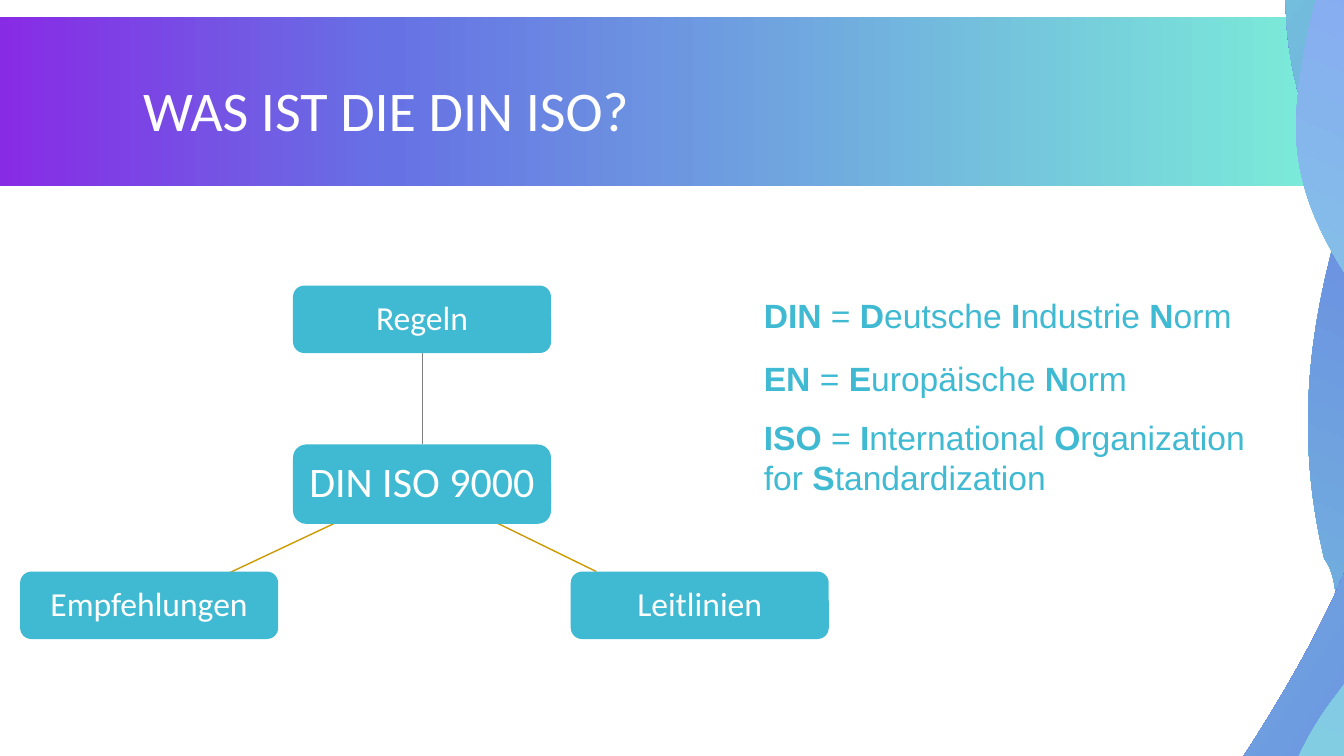
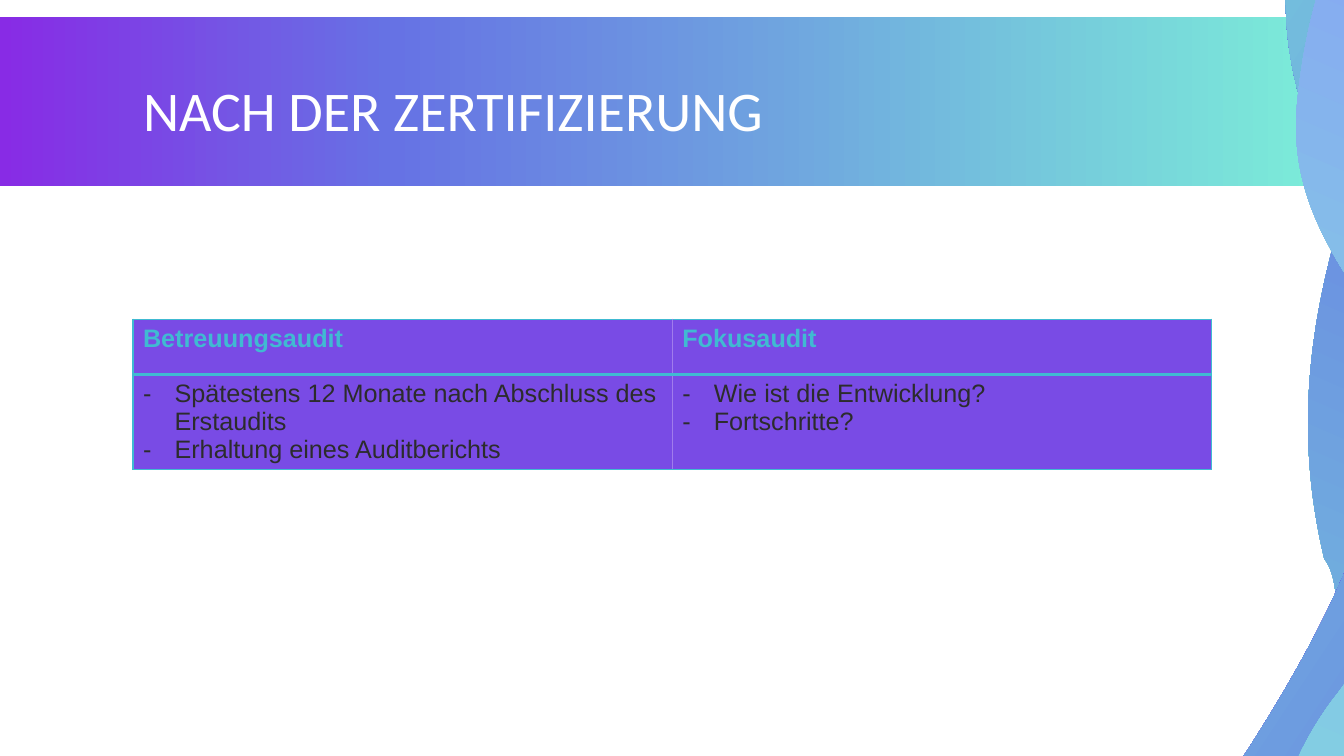
from dataclasses import dataclass
from math import cos, radians, sin
from typing import NamedTuple

from lxml.etree import SubElement
from pptx import Presentation
from pptx.dml.color import RGBColor
from pptx.enum.shapes import MSO_CONNECTOR, MSO_SHAPE
from pptx.enum.text import MSO_ANCHOR, MSO_AUTO_SIZE, PP_ALIGN
from pptx.oxml.ns import qn
from pptx.util import Pt

Point = tuple[float, float]
Stops = tuple[tuple[int, str], ...]


# Theme
@dataclass(frozen=True)
class Theme:
    width: float = 960
    height: float = 540
    heading_font: str = "Calibri"
    body_font: str = "Arial"
    white: str = "FFFFFF"
    teal: str = "40BAD2"
    gold: str = "CC9A00"
    gray: str = "808080"
    violet: str = "794BE5"
    light_violet: str = "A07CEC"
    dark: str = "2C2C2C"
    title_size: float = 40
    hub_size: float = 30
    text_size: float = 24
    table_size: float = 18
    ribbon_rotation: float = 23.4
    band_stops: Stops = ((0, "882BE5"), (29, "6672E4"), (100, "7CEFD8"))


THEME = Theme()


class Box(NamedTuple):
    left: float
    top: float
    width: float
    height: float

    def lengths(self) -> tuple:
        return tuple(Pt(value) for value in self)


class Ribbon(NamedTuple):
    """A start point, then three points for each cubic curve, as seen on the slide."""
    frame: Box
    points: tuple[Point, ...]
    stops: Stops
    angle: float


class Node(NamedTuple):
    text: str
    box: Box
    size: float = THEME.text_size


class Definition(NamedTuple):
    """Pieces alternate between bold and regular."""
    box: Box
    pieces: tuple[str, ...]


class AuditColumn(NamedTuple):
    heading: str
    points: tuple[str, ...]


BAND = Box(0, 12, THEME.width, 121)
TITLE = Box(95, 22.5, 770, 118.5)
RIBBONS = (
    Ribbon(Box(1000.8, -887, 360, 1774), (
        (886.3, 767.5), (886.3, 767.5), (919.4, 853.9), (1141.2, 442.8),
        (1363, 31.7), (1332.7, -176.4), (1321.2, -248.4),
        (1309, -320.4), (1309, -344.2), (1349.3, -488.9),
        (1388.9, -633.6), (1476, -838.8), (1378.1, -759.6),
        (1279.4, -679.7), (1202.4, -365), (1165.7, -275),
        (1129, -185.8), (1024.6, -46.8), (990.7, 54.7),
        (956.9, 157), (913, 262.8), (946.1, 399.6),
        (946.1, 399.6), (982.8, 430.6), (905, 642.2),
        (905, 642.2), (862.6, 762.5), (886.3, 767.5)),
        ((0, "7CEFD8"), (51, "6672E4"), (100, "882BE5")), 90),
    Ribbon(Box(766.1, -243.4, 480.2, 1096.6), (
        (1046.2, 661), (965.5, 776.9), (905.8, 824.4), (865.4, 841),
        (851.8, 833.8), (839.5, 820.1), (830.9, 799.9),
        (783.4, 691.2), (885.6, 544.3), (885.6, 544.3),
        (1124.6, 179.3), (879.8, 178.6), (923.8, -57.6),
        (935.3, -120.2), (951.1, -171.4), (968.4, -211.7),
        (974.9, -215.3), (982.1, -218.2), (989.3, -220.3),
        (1101.6, -252), (1045.4, -116.6), (1036.1, -14.4),
        (1027.4, 88.6), (1034.6, 107.3), (1075, 168.5),
        (1115.3, 229.7), (1224.7, 405.4), (1046.2, 661)),
        ((0, "882BE5"), (19, "6672E4"), (100, "7CEFD8")), 170),
    Ribbon(Box(784.1, -89.3, 521.3, 836.6), (
        (952.6, 499), (1132.6, 262.8), (910.8, 237.6), (926.6, 73.4),
        (942.5, -90.7), (1024.6, -126.7), (1056.2, -117.4),
        (1087.9, -107.3), (1103.8, -85.7), (1088.6, -24.5),
        (1073.5, 37.4), (1172.2, 68.4), (1239.8, 90.7),
        (1307.5, 112.3), (1375.9, 218.9), (1277.3, 314.6),
        (1177.9, 410.4), (1183, 405.4), (1170, 533.5),
        (1157, 661), (1093, 699.8), (1093, 699.8),
        (1093, 699.8), (982.8, 758.2), (928.8, 676.1),
        (875.5, 594), (952.6, 499), (952.6, 499)),
        ((0, "80DEDE"), (54, "85C1E7"), (100, "878CFF")), 90),
)

HUB = Node("DIN ISO 9000", Box(209.3, 317.5, 184.3, 56.7), THEME.hub_size)
RULES = Node("Regeln", Box(209.3, 204, 184.3, 48.2))
BRANCHES = (Node("Empfehlungen", Box(14.4, 408.3, 184.3, 48.2)),
            Node("Leitlinien", Box(407.7, 408.3, 184.3, 48.2)))
BRANCH_LINES: tuple[tuple[Point, Point], ...] = (((251.3, 368), (162.7, 409.7)),
                                                 ((340.5, 366.5), (426, 408.3)))
DEFINITIONS = (
    Definition(Box(538.5, 207.2, 364.5, 36),
               ("DIN", " = ", "D", "eutsche ", "I", "ndustrie ", "N", "orm")),
    Definition(Box(538.5, 252, 364.5, 36),
               ("EN", " = ", "E", "uropäische ", "N", "orm")),
    Definition(Box(538.5, 294, 364.5, 65.5),
               ("ISO", " = ", "I", "nternational ", "O", "rganization for ",
                "S", "tandardization")),
)

TABLE_BOX = Box(95, 228, 770.5, 107)
HEADER_HEIGHT = 39.5
COLUMNS = (
    AuditColumn("Betreuungsaudit", ("Spätestens 12 Monate nach Abschluss des Erstaudits",
                                    "Erhaltung eines Auditberichts")),
    AuditColumn("Fokusaudit", ("Wie ist die Entwicklung?", "Fortschritte?")),
)


# Formatting helpers
def rgb(color: str) -> RGBColor:
    return RGBColor.from_string(color)


def add_run(para, text: str, size: float, color: str, font: str, bold: bool = False) -> None:
    span = para.add_run()
    span.text = text
    span.font.name = font
    span.font.size = Pt(size)
    span.font.bold = bold
    span.font.color.rgb = rgb(color)


def add_bullet(para, bullet: str, indent: float) -> None:
    properties = para._p.get_or_add_pPr()
    properties.set("marL", str(Pt(indent)))
    properties.set("indent", str(-Pt(indent)))
    SubElement(properties, qn("a:buFont")).set("typeface", THEME.body_font)
    SubElement(properties, qn("a:buChar")).set("char", bullet)


def fill_gradient(shape, stops: Stops, angle: float) -> None:
    shape.shadow.inherit = False
    shape.line.fill.background()
    shape.fill.gradient()
    shape.fill.gradient_angle = angle
    stop_list = shape.element.spPr.find(qn("a:gradFill")).find(qn("a:gsLst"))
    for old_stop in list(stop_list):
        stop_list.remove(old_stop)
    for position, color in stops:
        stop = SubElement(stop_list, qn("a:gs"))
        stop.set("pos", str(position * 1000))
        SubElement(stop, qn("a:srgbClr")).set("val", color)


def place(shape, box: Box) -> None:
    shape.left, shape.top, shape.width, shape.height = box.lengths()


# Shared master: band, ribbons and title position
def unrotate(point: Point, frame: Box) -> Point:
    """Turn a slide point back into the frame's own coordinates."""
    turn = radians(THEME.ribbon_rotation)
    x = point[0] - frame.left - frame.width / 2
    y = point[1] - frame.top - frame.height / 2
    return (x * cos(turn) + y * sin(turn) + frame.width / 2,
            y * cos(turn) - x * sin(turn) + frame.height / 2)


def add_ribbon(page, ribbon: Ribbon):
    start, *others = [tuple(Pt(value) for value in unrotate(point, ribbon.frame))
                      for point in ribbon.points]
    builder = page.shapes.build_freeform(*start)
    builder.add_line_segments(others[2::3], close=True)
    shape = builder.convert_to_shape()
    place(shape, ribbon.frame)
    shape.rotation = THEME.ribbon_rotation

    # Turn the straight segments into cubic curves
    contour = next(shape.element.iter(qn("a:path")))
    contour.set("w", str(Pt(ribbon.frame.width)))
    contour.set("h", str(Pt(ribbon.frame.height)))
    for segment in list(contour):
        contour.remove(segment)
    curves = [others[index:index + 3] for index in range(0, len(others), 3)]
    for tag, points in [("a:moveTo", [start])] + [("a:cubicBezTo", curve) for curve in curves]:
        segment = SubElement(contour, qn(tag))
        for x, y in points:
            corner = SubElement(segment, qn("a:pt"))
            corner.set("x", str(x))
            corner.set("y", str(y))
    SubElement(contour, qn("a:close"))
    fill_gradient(shape, ribbon.stops, ribbon.angle)
    return shape


def decorate_master(deck, page) -> None:
    """Draw on a page, then move the shapes behind the master's placeholders."""
    band = page.shapes.add_shape(MSO_SHAPE.RECTANGLE, *BAND.lengths())
    fill_gradient(band, THEME.band_stops, 0)
    decorations = [band] + [add_ribbon(page, ribbon) for ribbon in RIBBONS]
    master = deck.slide_master
    for index, shape in enumerate(decorations, start=2):
        master.shapes.element.insert(index, shape.element)
    place(master.placeholders[0], TITLE)


def set_title(page, text: str) -> None:
    title = page.shapes.title
    place(title, TITLE)
    title.text_frame.auto_size = MSO_AUTO_SIZE.NONE
    title.text_frame.vertical_anchor = MSO_ANCHOR.MIDDLE
    para = title.text_frame.paragraphs[0]
    para.alignment = PP_ALIGN.LEFT
    para.line_spacing = 0.85
    add_run(para, text, THEME.title_size, THEME.white, THEME.heading_font)


# Diagram parts
def add_line(page, begin: Point, end: Point, color: str, width: float):
    line = page.shapes.add_connector(MSO_CONNECTOR.STRAIGHT,
                                     *(Pt(value) for value in (*begin, *end)))
    line.line.color.rgb = rgb(color)
    line.line.width = Pt(width)
    SubElement(line.element.spPr, qn("a:effectLst"))
    return line


def add_node(page, node: Node):
    shape = page.shapes.add_shape(MSO_SHAPE.ROUNDED_RECTANGLE, *node.box.lengths())
    shape.shadow.inherit = False
    shape.fill.solid()
    shape.fill.fore_color.rgb = rgb(THEME.teal)
    shape.line.fill.background()
    frame = shape.text_frame
    frame.word_wrap = True
    frame.vertical_anchor = MSO_ANCHOR.MIDDLE
    frame.margin_left = frame.margin_right = Pt(7)
    para = frame.paragraphs[0]
    para.alignment = PP_ALIGN.CENTER
    para.line_spacing = 0.9
    add_run(para, node.text, node.size, THEME.white, THEME.heading_font)
    return shape


def add_definition(page, definition: Definition) -> None:
    frame = page.shapes.add_textbox(*definition.box.lengths()).text_frame
    frame.word_wrap = True
    for number, piece in enumerate(definition.pieces):
        add_run(frame.paragraphs[0], piece, THEME.text_size, THEME.teal,
                THEME.body_font, number % 2 == 0)


# Table parts
def format_cell(cell, borders: dict[str, tuple[str, float]]) -> None:
    cell.fill.solid()
    cell.fill.fore_color.rgb = rgb(THEME.violet)
    properties = cell._tc.get_or_add_tcPr()
    for index, side in enumerate("LRTB"):
        color, width = borders[side]
        edge = SubElement(properties, qn(f"a:ln{side}"))
        edge.set("w", str(Pt(width)))
        solid = SubElement(edge, qn("a:solidFill"))
        SubElement(solid, qn("a:srgbClr")).set("val", color)
        properties.insert(index, edge)


def add_audit_table(page) -> None:
    table = page.shapes.add_table(2, len(COLUMNS), *TABLE_BOX.lengths()).table
    table.first_row = table.horz_banding = False
    table.rows[0].height = Pt(HEADER_HEIGHT)
    table.rows[1].height = Pt(TABLE_BOX.height - HEADER_HEIGHT)
    outer, inner, rule = (THEME.teal, 1), (THEME.light_violet, 0.5), (THEME.teal, 3)
    for index, column in enumerate(COLUMNS):
        table.columns[index].width = Pt(TABLE_BOX.width / len(COLUMNS))
        sides = {"L": inner if index else outer,
                 "R": outer if index == len(COLUMNS) - 1 else inner}
        header, content = table.cell(0, index), table.cell(1, index)
        format_cell(header, {**sides, "T": outer, "B": rule})
        format_cell(content, {**sides, "T": rule, "B": outer})
        add_run(header.text_frame.paragraphs[0], column.heading, THEME.table_size,
                THEME.teal, THEME.body_font, True)
        frame = content.text_frame
        for number, point in enumerate(column.points):
            para = frame.add_paragraph() if number else frame.paragraphs[0]
            add_bullet(para, "-", 22.5)
            add_run(para, point, THEME.table_size, THEME.dark, THEME.body_font)


# Slides
def build_definition_page(page) -> None:
    set_title(page, "WAS IST DIE DIN ISO?")
    for begin, end in BRANCH_LINES:
        add_line(page, begin, end, THEME.gold, 1)
    for node in BRANCHES:
        add_node(page, node)
    rules, hub = add_node(page, RULES), add_node(page, HUB)
    stem = add_line(page, (0, 0), (0, 0), THEME.gray, 0.5)
    stem.begin_connect(rules, 2)
    stem.end_connect(hub, 0)
    for definition in DEFINITIONS:
        add_definition(page, definition)


def main() -> None:
    deck = Presentation()
    deck.slide_width, deck.slide_height = Pt(THEME.width), Pt(THEME.height)
    title_only = deck.slide_layouts[5]
    definition_page = deck.slides.add_slide(title_only)
    decorate_master(deck, definition_page)
    build_definition_page(definition_page)
    audit_page = deck.slides.add_slide(title_only)
    set_title(audit_page, "NACH DER ZERTIFIZIERUNG")
    add_audit_table(audit_page)
    deck.save("out.pptx")


if __name__ == "__main__":
    main()
